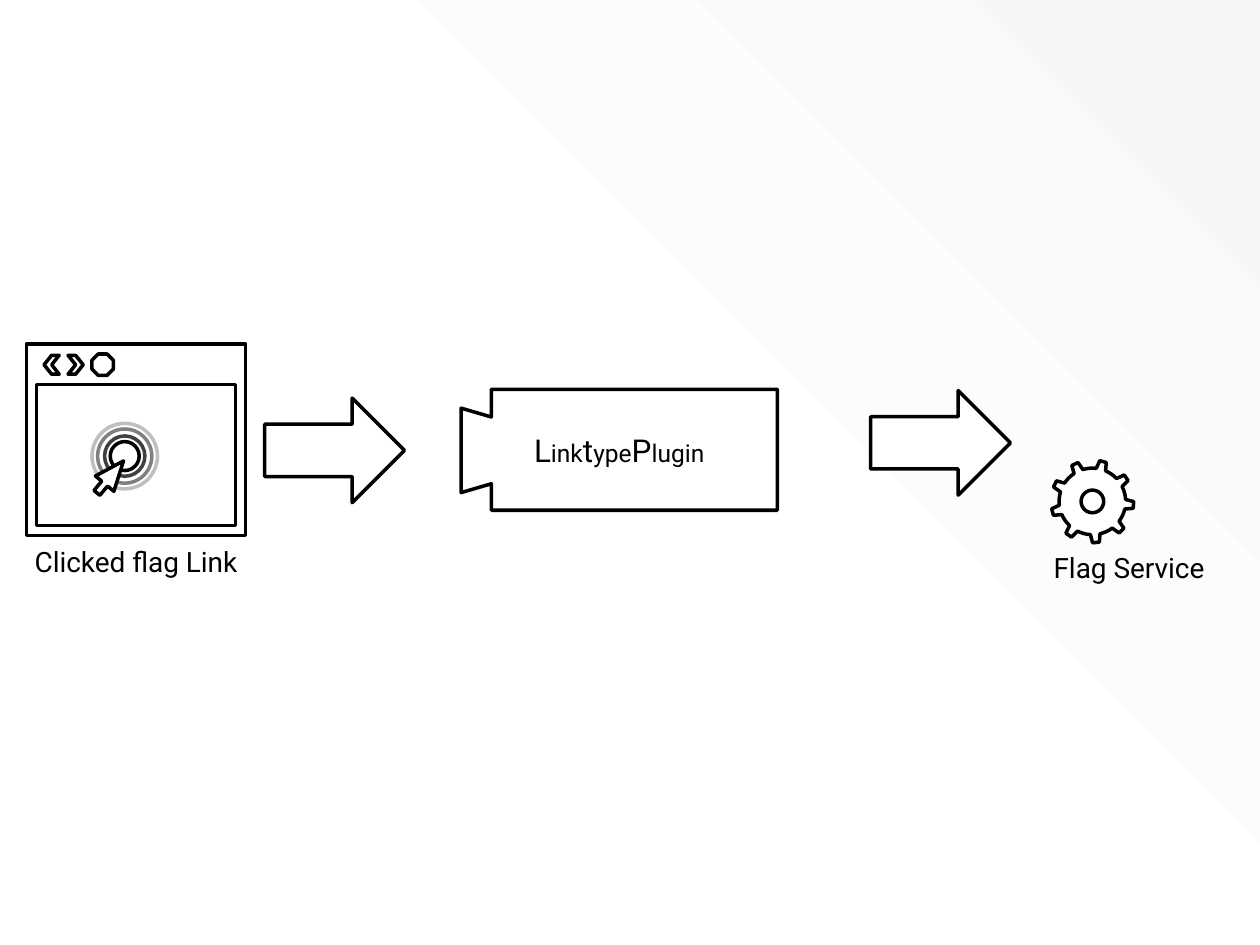
from lxml import etree
from pptx import Presentation
from pptx.dml.color import RGBColor
from pptx.enum.shapes import MSO_SHAPE
from pptx.enum.text import MSO_ANCHOR, MSO_AUTO_SIZE, PP_ALIGN
from pptx.oxml import parse_xml
from pptx.oxml.ns import nsdecls, qn
from pptx.util import Inches, Pt

RECT, OVAL = MSO_SHAPE.RECTANGLE, MSO_SHAPE.OVAL
CHEVRON, OCTAGON = MSO_SHAPE.CHEVRON, MSO_SHAPE.OCTAGON
ARROW, GEAR = MSO_SHAPE.RIGHT_ARROW, MSO_SHAPE.GEAR_9
CENTER, MIDDLE = PP_ALIGN.CENTER, MSO_ANCHOR.MIDDLE
FIT_SHAPE = MSO_AUTO_SIZE.SHAPE_TO_FIT_TEXT

FONT = "Roboto"
COLORS = {
    "white": "FFFFFF",
    "black": "000000",
    "shade": "F6F6F6",
    "ripple1": "404040",
    "ripple2": "808080",
    "ripple3": "BFBFBF",
}


def rgb(name):
    return RGBColor.from_string(COLORS[name])


def style(shape, line="black", filled=True):
    shape.shadow.inherit = False
    if filled:
        shape.fill.solid()
        shape.fill.fore_color.rgb = rgb("white")
    else:
        shape.fill.background()
    shape.line.color.rgb = rgb(line)
    shape.line.width = Pt(2)
    etree.SubElement(shape.line._get_or_add_ln(), qn("a:round"))


def add_outlined(shapes, kind, x, y, w, h, line="black", filled=True, rotation=0):
    shape = shapes.add_shape(kind, Inches(x), Inches(y), Inches(w), Inches(h))
    style(shape, line, filled)
    shape.rotation = rotation
    return shape


def set_text(p, runs):
    """Fill a centred paragraph from (text, size) pairs."""
    p.alignment = CENTER
    p.font.name = FONT
    p.font.color.rgb = rgb("black")
    for text, size in runs:
        r = p.add_run()
        r.text = text
        r.font.size = Pt(size)


def add_label(shapes, text, x, y, w, h):
    tf = shapes.add_textbox(Inches(x), Inches(y), Inches(w), Inches(h)).text_frame
    tf.word_wrap = True
    tf.auto_size = FIT_SHAPE
    set_text(tf.paragraphs[0], [(text, 16)])


def add_backdrop(prs, shapes):
    """Cover the slide with a gradient that darkens to the top right."""
    sp = shapes.add_shape(RECT, 0, 0, prs.slide_width, prs.slide_height)
    sp.shadow.inherit = False
    sp.line.fill.background()
    gradient = parse_xml(
        f'<a:gradFill {nsdecls("a")} rotWithShape="1"><a:gsLst>'
        f'<a:gs pos="49000"><a:srgbClr val="{COLORS["white"]}"/></a:gs>'
        f'<a:gs pos="100000"><a:srgbClr val="{COLORS["shade"]}"/></a:gs>'
        '</a:gsLst><a:path path="circle">'
        '<a:fillToRect t="100000" r="100000"/></a:path></a:gradFill>'
    )
    sp._element.spPr.find(qn("a:prstGeom")).addnext(gradient)


def add_service_gear(shapes):
    gear = shapes.add_group_shape().shapes
    for kind, x, y, size in ((GEAR, 8.34, 3.65, 0.66), (OVAL, 8.58, 3.89, 0.18)):
        add_outlined(gear, kind, x, y, size, size, rotation=15)


def add_browser(shapes):
    """Browser window with a click ripple and a pointer."""
    window = shapes.add_group_shape().shapes
    add_outlined(window, RECT, 0.21, 2.73, 1.74, 1.52)
    add_outlined(window, RECT, 0.29, 3.05, 1.58, 1.12)
    back = add_outlined(window, CHEVRON, 0.35, 2.82, 0.12, 0.15)
    back._element.spPr.find(qn("a:xfrm")).set("flipH", "1")
    add_outlined(window, CHEVRON, 0.54, 2.82, 0.12, 0.15)
    add_outlined(window, OCTAGON, 0.73, 2.81, 0.17, 0.17)

    cx, cy = 0.99, 3.62
    ripples = (("black", 0.23), ("ripple1", 0.32), ("ripple2", 0.43), ("ripple3", 0.52))
    for color, size in ripples:
        add_outlined(window, OVAL, cx - size / 2, cy - size / 2, size, size, color, False)

    pointer = add_outlined(window, ARROW, 0.71, 3.69, 0.33, 0.19, rotation=309.8)
    pointer.adjustments[0] = 0.32
    pointer.adjustments[1] = 1.23


def add_plugin(shapes):
    """Plug-shaped box with a flared connector on its left."""
    points = [(6.17, 3.09), (6.17, 4.05), (3.9, 4.05), (3.9, 3.84),
              (3.66, 3.91), (3.66, 3.24), (3.9, 3.31)]
    builder = shapes.build_freeform(Inches(3.9), Inches(3.09))
    builder.add_line_segments([(Inches(x), Inches(y)) for x, y in points], close=True)
    sp = builder.convert_to_shape()
    style(sp)
    tf = sp.text_frame
    tf.word_wrap = True
    tf.vertical_anchor = MIDDLE
    set_text(tf.paragraphs[0], [("L", 18), ("ink", 14), ("t", 18),
                                ("ype", 14), ("P", 18), ("lugin", 14)])


def main():
    prs = Presentation()
    prs.slide_width, prs.slide_height = Inches(10), Inches(7.5)
    s = prs.slides.add_slide(prs.slide_layouts[6])
    add_backdrop(prs, s.shapes)
    add_label(s.shapes, "Flag Service", 7.92, 4.32, 2.08, 0.37)
    add_service_gear(s.shapes)
    add_browser(s.shapes)
    add_label(s.shapes, "Clicked flag Link", 0.05, 4.27, 2.06, 0.64)
    for x, y in ((6.91, 3.1), (2.1, 3.16)):
        add_outlined(s.shapes, ARROW, x, y, 1.11, 0.83)
    add_plugin(s.shapes)
    prs.save("out.pptx")


if __name__ == "__main__":
    main()
